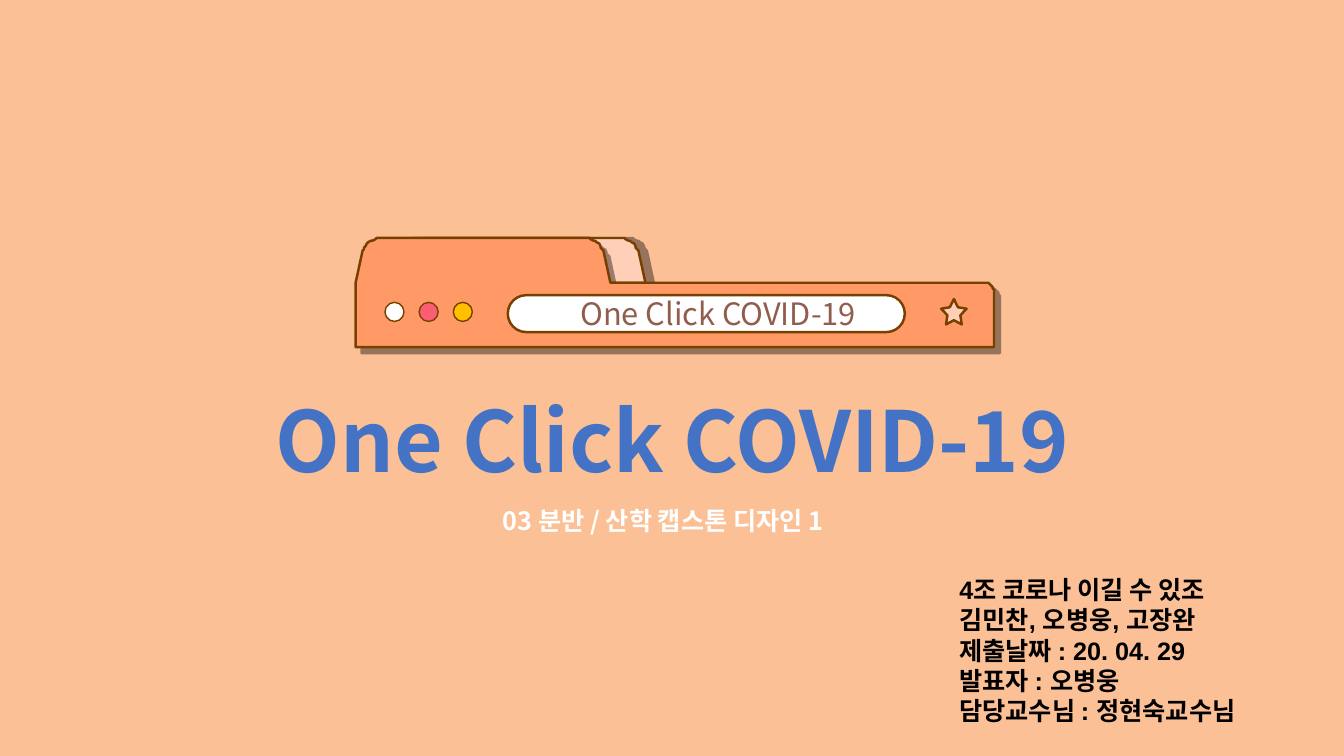
from lxml.etree import SubElement
from pptx import Presentation
from pptx.dml.color import RGBColor
from pptx.enum.shapes import MSO_SHAPE
from pptx.enum.text import MSO_ANCHOR, MSO_AUTO_SIZE, PP_ALIGN
from pptx.oxml.ns import qn
from pptx.util import Pt

KOREAN = "Noto Sans CJK KR"
BROWN = "774001"


def color(hex_code):
    return RGBColor.from_string(hex_code)


def write(frame, text, size=18, font=KOREAN, ink="000000", bold=False,
          align=PP_ALIGN.LEFT, anchor=MSO_ANCHOR.TOP, wrap=True,
          spacing=1.0, indent=0, outline=None):
    """Fill a text frame, one paragraph per line of text."""
    frame.auto_size = MSO_AUTO_SIZE.NONE
    frame.word_wrap = wrap
    frame.vertical_anchor = anchor
    frame.text = text
    for paragraph in frame.paragraphs:
        paragraph.alignment = align
        paragraph.line_spacing = spacing
        paragraph.space_before = Pt(0)
        properties = paragraph._p.get_or_add_pPr()
        properties.set("marL", str(Pt(indent)))
        properties.set("indent", "0")
        for run in paragraph.runs:
            run.font.size = Pt(size)
            run.font.bold = bold
            run.font.name = font
            run.font.color.rgb = color(ink)
            letters = run._r.get_or_add_rPr()
            SubElement(letters, qn("a:ea"), typeface=KOREAN)
            if outline:
                edge = SubElement(letters, qn("a:ln"), w=str(Pt(0.75)))
                fill = SubElement(edge, qn("a:solidFill"))
                SubElement(fill, qn("a:srgbClr"), val=outline)
                letters.insert(0, edge)


def curve(start, control_1, control_2, end, steps=10):
    """Points along a cubic curve, without its start."""
    points = []
    for step in range(1, steps + 1):
        t = step / steps
        weights = ((1 - t) ** 3, 3 * t * (1 - t) ** 2, 3 * t * t * (1 - t), t ** 3)
        points.append(tuple(
            sum(w * p[axis] for w, p in zip(weights, (start, control_1, control_2, end)))
            for axis in (0, 1)))
    return points


def tab_outline(left):
    """Rounded folder tab, clockwise from its lower left corner."""
    top, shoulder, bottom = 170, 179, 201.6
    width, slope, corner = 182.6, 6, 13
    right = left + width
    rise, fall = left + slope, right - slope
    return [(left, bottom), (left + 5.6, shoulder), (rise, shoulder - 0.6),
            *curve((rise, shoulder - 0.6), (rise + 2.2, 173.6), (rise + 7, top),
                   (rise + corner, top)),
            (fall - corner, top),
            *curve((fall - corner, top), (fall - 7, top), (fall - 2.2, 173.6),
                   (fall, shoulder - 0.6)),
            (right - 5.6, shoulder), (right, bottom)]


class Cover:
    """The current slide and its drawing style."""

    def __init__(self, slide):
        self.slide = slide
        self.shapes = slide.shapes

    def background(self, fill):
        self.slide.background.fill.solid()
        self.slide.background.fill.fore_color.rgb = color(fill)

    def paint(self, shape, fill, line_width):
        shape.shadow.inherit = False
        shape.fill.solid()
        shape.fill.fore_color.rgb = color(fill)
        shape.line.color.rgb = color(BROWN)
        shape.line.width = Pt(line_width)
        return shape

    def preset(self, kind, left, top, width, height, fill, line_width=1.75):
        shape = self.shapes.add_shape(kind, Pt(left), Pt(top), Pt(width), Pt(height))
        return self.paint(shape, fill, line_width)

    def outline(self, points, fill, shadow_angle):
        builder = self.shapes.build_freeform(*points[0], scale=Pt(1))
        builder.add_line_segments(points[1:], close=True)
        shape = self.paint(builder.convert_to_shape(), fill, 1.75)
        effects = shape._element.spPr.find(qn("a:effectLst"))
        shadow = SubElement(effects, qn("a:outerShdw"), blurRad="0", dist=str(Pt(6)),
                            dir=str(shadow_angle * 60000), algn="tl", rotWithShape="0")
        shade = SubElement(shadow, qn("a:srgbClr"), val="000000")
        SubElement(shade, qn("a:alpha"), val="40000")

    def place(self, placeholder, left, top, width, height, text, **style):
        placeholder.left, placeholder.top = Pt(left), Pt(top)
        placeholder.width, placeholder.height = Pt(width), Pt(height)
        write(placeholder.text_frame, text, **style)

    def text_box(self, left, top, width, height, text, **style):
        box = self.shapes.add_textbox(Pt(left), Pt(top), Pt(width), Pt(height))
        write(box.text_frame, text, **style)


def main():
    deck = Presentation()
    deck.slide_width, deck.slide_height = Pt(960), Pt(540)
    cover = Cover(deck.slides.add_slide(deck.slide_layouts[0]))
    cover.background("FBC096")

    # Folder: back tab, then front with its address bar strip
    cover.outline(tab_outline(278.6), "FFCFB7", shadow_angle=0)
    strip_corner = curve((702.6, 201.6), (707, 201.6), (710, 205.2), (710, 209.5))
    cover.outline(tab_outline(253.6) + [(702.6, 201.6), *strip_corner,
                                        (710, 248), (253.6, 248)],
                  "FF9966", shadow_angle=45)

    # Address bar
    address = cover.preset(MSO_SHAPE.ROUNDED_RECTANGLE, 362.7, 210.8, 283.6, 26.4, "FFFFFF")
    address.adjustments[0] = 0.5
    write(address.text_frame, " One Click COVID-19", size=22, ink="915E4D",
          anchor=MSO_ANCHOR.MIDDLE, indent=36)

    # Bookmark star and window buttons
    star = cover.preset(MSO_SHAPE.STAR_5_POINT, 672.3, 213.6, 18.2, 18.2, "FFCFB7")
    star.adjustments[0] = 0.255
    for index, fill in enumerate(("FFFFFF", "FB5D74", "FFC000")):
        cover.preset(MSO_SHAPE.OVAL, 275 + 24.4 * index, 216, 13.6, 13.6, fill, line_width=1)

    # Title, course and team
    title, course = cover.slide.placeholders
    cover.place(title, 185.8, 273.6, 589, 78.5, "One Click COVID-19", size=60,
                ink="4472C4", bold=True, align=PP_ALIGN.CENTER, wrap=False, outline="FF9966")
    cover.place(course, 337.7, 346.3, 272, 39.6, "03 분반 / 산학 캡스톤 디자인 1",
                ink="FFFFFF", bold=True, align=PP_ALIGN.CENTER, wrap=False, spacing=1.5)
    cover.text_box(678.2, 406.8, 273.6, 116.6,
                   "4조 코로나 이길 수 있조\n김민찬, 오병웅, 고장완\n제출날짜 : 20. 04. 29\n"
                   "발표자 : 오병웅\n담당교수님 : 정현숙교수님", font="Arial", bold=True)

    deck.save("out.pptx")


if __name__ == "__main__":
    main()
